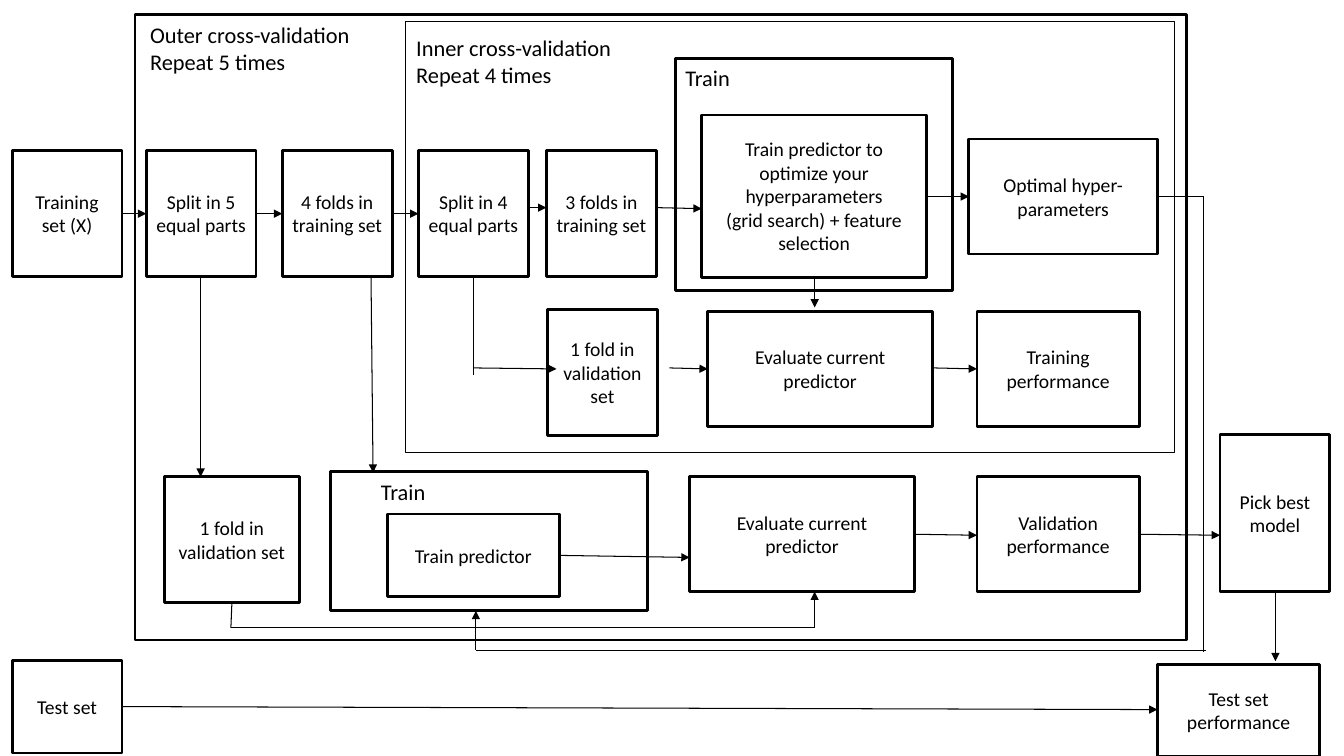
"""Build the nested cross-validation flow chart slide."""
from lxml.etree import SubElement
from pptx import Presentation
from pptx.dml.color import RGBColor
from pptx.enum.shapes import MSO_CONNECTOR as Link, MSO_SHAPE as Preset
from pptx.enum.text import MSO_ANCHOR as Anchor, PP_ALIGN as Align
from pptx.oxml.ns import qn
from pptx.util import Inches, Pt

BLACK, WHITE = "000000", "FFFFFF"


def color(hex_code):
    return RGBColor.from_string(hex_code)


def write(holder, text, size=14, align=Align.CENTER, anchor=Anchor.MIDDLE):
    frame = holder.text_frame
    frame.word_wrap = True
    frame.vertical_anchor = anchor
    frame.text = text
    for paragraph in frame.paragraphs:
        paragraph.alignment = align
        paragraph.font.size = Pt(size)
        paragraph.font.name = "Calibri"
        paragraph.font.color.rgb = color(BLACK)


deck = Presentation()
deck.slide_width, deck.slide_height = Inches(13.33), Inches(7.5)
slide = deck.slides.add_slide(deck.slide_layouts[6])

NARROW, MEDIUM, WIDE = 1.09, 1.61, 2.23
TOP_ROW, MIDDLE_ROW, BOTTOM_ROW = 1.49, 3.09, 4.73
FOLD, STEP = 1.25, 1.14

steps = [
    (1.34, 0.14, 10.43, 6.21, ""),
    (4.02, 0.21, 7.63, 4.28, ""),
    (6.7, 0.58, 2.75, 2.3, ""),
    (3.28, 4.68, 3.14, 1.38, ""),
    (0.12, TOP_ROW, NARROW, FOLD, "Training set (X)"),
    (1.45, TOP_ROW, NARROW, FOLD, "Split in 5 equal parts"),
    (2.8, TOP_ROW, NARROW, FOLD, "4 folds in training set"),
    (4.15, TOP_ROW, NARROW, FOLD, "Split in 4 equal parts"),
    (5.42, TOP_ROW, NARROW, FOLD, "3 folds in training set"),
    (6.96, 1.14, WIDE, 1.61,
     "Train predictor to optimize your hyperparameters\n"
     "(grid search) + feature selection"),
    (9.61, 1.38, 1.87, STEP, "Optimal hyper-\nparameters"),
    (5.43, 3.07, NARROW, FOLD, "1 fold in validation set"),
    (7.02, MIDDLE_ROW, WIDE, STEP, "Evaluate current predictor"),
    (9.69, MIDDLE_ROW, MEDIUM, STEP, "Training performance"),
    (1.63, BOTTOM_ROW, 1.34, FOLD, "1 fold in validation set"),
    (3.84, 5.1, 1.71, 0.82, "Train predictor"),
    (6.84, BOTTOM_ROW, WIDE, STEP, "Evaluate current predictor"),
    (9.69, BOTTOM_ROW, MEDIUM, STEP, "Validation performance"),
    (12.1, 4.31, NARROW, 1.56, "Pick best model"),
    (0.12, 6.55, NARROW, 0.92, "Test set"),
    (11.48, 6.59, MEDIUM, 0.91, "Test set performance"),
]
for left, top, width, height, label in steps:
    step = slide.shapes.add_shape(
        Preset.RECTANGLE, *map(Inches, (left, top, width, height)))
    step.shadow.inherit = False
    step.fill.solid()
    step.fill.fore_color.rgb = color(WHITE)
    step.line.color.rgb = color(BLACK)
    step.line.width = Pt(0.75 if width == 7.63 else 2)
    if label:
        write(step, label)

headings = [
    (1.39, 0.16, 0.63, "Outer cross-validation\nRepeat 5 times"),
    (4.03, 0.29, 0.63, "Inner cross-validation\nRepeat 4 times"),
    (6.7, 0.59, 0.36, "Train"),
    (3.68, 4.69, 0.36, "Train"),
]
for left, top, height, label in headings:
    heading = slide.shapes.add_textbox(*map(Inches, (left, top, 3.37, height)))
    write(heading, label, size=16, align=Align.LEFT, anchor=Anchor.TOP)

arrows = [
    (1.21, 2.12, 1.45, 2.12),
    (2.54, 2.12, 2.8, 2.12),
    (3.89, 2.12, 4.15, 2.12),
    (5.26, 2.06, 5.42, 2.06),
    (6.51, 2.06, 6.96, 2.07),
    (9.19, 1.95, 9.61, 1.95),
    (1.99, 2.74, 1.99, 4.73),
    (3.68, 2.76, 3.7, 4.69),
    (8.08, 2.75, 8.08, 3.05),
    (4.7, 3.65, 5.52, 3.66),
    (6.64, 3.65, 7.02, 3.66),
    (9.26, 3.65, 9.69, 3.66),
    (5.55, 5.51, 6.84, 5.53),
    (9.06, 5.3, 9.69, 5.31),
    (11.29, 5.3, 12.1, 5.31),
    (4.72, 6.45, 4.72, 6.06),
    (8.08, 6.23, 8.08, 5.87),
    (12.65, 5.87, 12.65, 6.56),
    (1.21, 7.01, 11.48, 7.04),
]
plain_lines = [
    (4.7, 2.74, 4.7, 3.72),
    (11.48, 1.95, 11.94, 1.95),
    (11.94, 1.95, 11.94, 6.47),
    (4.72, 6.45, 11.96, 6.45),
    (2.3, 5.98, 2.29, 6.23),
    (2.29, 6.23, 8.08, 6.23),
]
for ends in arrows + plain_lines:
    flow = slide.shapes.add_connector(Link.STRAIGHT, *map(Inches, ends))
    flow.line.color.rgb = color(BLACK)
    flow.line.width = Pt(0.75)
    if ends in arrows:
        SubElement(flow.line._get_or_add_ln(), qn("a:tailEnd"), type="triangle")
    SubElement(flow._element.spPr, qn("a:effectLst"))

deck.save("out.pptx")
